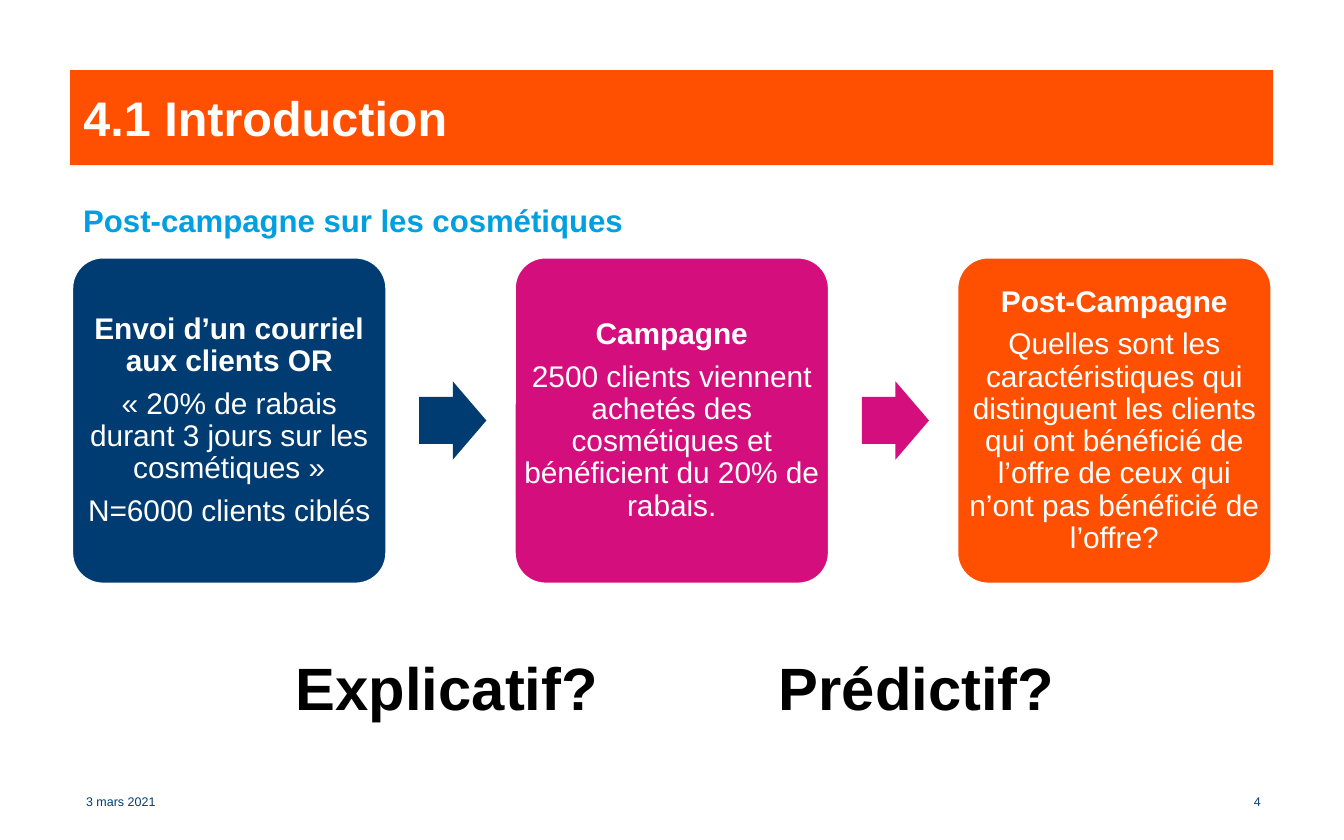
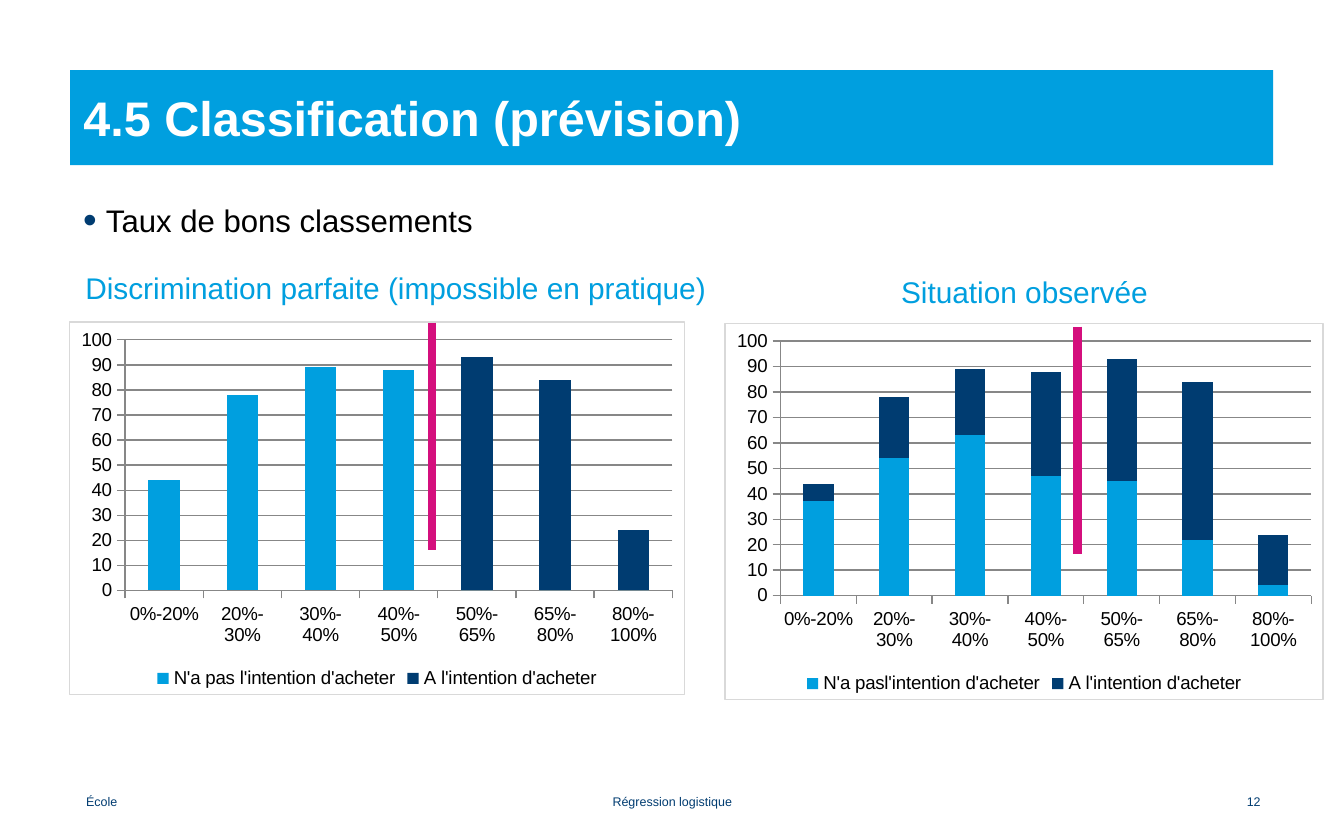
import dataclasses

import lxml.etree
import pptx
import pptx.chart.data
import pptx.dml.color
import pptx.enum.chart
import pptx.enum.shapes
import pptx.enum.text
import pptx.oxml
import pptx.oxml.ns
import pptx.util

Pt = pptx.util.Pt
ALIGN = pptx.enum.text.PP_ALIGN
ANCHOR = pptx.enum.text.MSO_ANCHOR
SHAPE = pptx.enum.shapes.MSO_SHAPE


@dataclasses.dataclass(frozen=True)
class Theme:
    """Colours, font and type sizes shared by the slides."""
    font: str = "Arial"
    white: str = "FFFFFF"
    black: str = "000000"
    navy: str = "003C71"
    sky: str = "009FDF"
    pink: str = "D40F7D"
    orange: str = "FE5000"
    axis: str = "878787"
    border: str = "D9D9D9"
    title: float = 26
    question: float = 32
    body: float = 16.7
    card: float = 16
    chart: float = 10
    footer: float = 6.7


THEME = Theme()
TITLE_BOX = (37.5, 37.5, 644.5, 51)
BODY_BOX = (37.5, 104.4, 644.5, 30)
FOOTER_BOX = (39, 424, 643.5, 11)
INSET = (7.2, 3.6)


def rgb(color):
    """Turn a hex string into a colour."""
    return pptx.dml.color.RGBColor.from_string(color)


def points(box):
    """Turn a box of numbers into lengths."""
    return [Pt(value) for value in box]


def paint(shape, fill, line=None, width=2):
    """Give a shape a flat fill and an optional outline."""
    shape.shadow.inherit = False
    shape.fill.solid()
    shape.fill.fore_color.rgb = rgb(fill)
    if line:
        shape.line.color.rgb = rgb(line)
        shape.line.width = Pt(width)
    else:
        shape.line.fill.background()


def prepare_frame(frame, anchor=ANCHOR.TOP, inset=INSET, wrap=True):
    """Set the wrapping, anchor and margins of a text frame."""
    frame.word_wrap = wrap
    frame.auto_size = pptx.enum.text.MSO_AUTO_SIZE.NONE
    frame.vertical_anchor = anchor
    frame.margin_left = frame.margin_right = Pt(inset[0])
    frame.margin_top = frame.margin_bottom = Pt(inset[1])
    return frame


def write(frame, text, size, color, bold=False, align=ALIGN.LEFT,
          before=0, after=0, spacing=1.0):
    """Add one formatted paragraph to a frame."""
    para = frame.paragraphs[0]
    if para.runs:
        para = frame.add_paragraph()
    para.alignment = align
    para.space_before, para.space_after = Pt(before), Pt(after)
    para.line_spacing = spacing
    span = para.add_run()
    span.text = text
    span.font.name = THEME.font
    span.font.size = Pt(size)
    span.font.bold = bold
    span.font.color.rgb = rgb(color)
    return para


def add_label(page, box, text, size, color, anchor=ANCHOR.TOP, wrap=True, **style):
    """Place a text box holding one paragraph."""
    label = page.shapes.add_textbox(*points(box))
    frame = prepare_frame(label.text_frame, anchor, wrap=wrap)
    return write(frame, text, size, color, **style)


def add_bullet(para, color, hang=12.2):
    """Give a paragraph a hanging coloured bullet."""
    properties = para._p.get_or_add_pPr()
    properties.set("marL", str(Pt(hang)))
    properties.set("indent", str(-Pt(hang)))
    for tag, attributes in (("a:buSzPct", {"val": "125000"}),
                            ("a:buFont", {"typeface": THEME.font}),
                            ("a:buChar", {"char": "•"})):
        lxml.etree.SubElement(properties, pptx.oxml.ns.qn(tag), attributes)
    tint = lxml.etree.Element(pptx.oxml.ns.qn("a:buClr"))
    lxml.etree.SubElement(tint, pptx.oxml.ns.qn("a:srgbClr"), val=color)
    properties.find(pptx.oxml.ns.qn("a:buSzPct")).addprevious(tint)


def add_page(deck, title, band):
    """Add a slide with its title band."""
    page = deck.slides.add_slide(deck.slide_layouts[5])
    holder = page.shapes.title
    holder.left, holder.top, holder.width, holder.height = points(TITLE_BOX)
    holder.fill.solid()
    holder.fill.fore_color.rgb = rgb(band)
    frame = prepare_frame(holder.text_frame, ANCHOR.MIDDLE)
    write(frame, title, THEME.title, THEME.white, bold=True)
    return page


def add_footer(page, box, left, number, middle=None):
    """Place the footer texts along the bottom box."""
    x, y, width, height = box
    parts = ((left, x, 168, ALIGN.LEFT),
             (middle, x + 207.2, 228.2, ALIGN.CENTER),
             (number, x + width - 37, 37, ALIGN.RIGHT))
    for text, start, length, align in parts:
        if text:
            add_label(page, (start, y, length, height), text, THEME.footer,
                      THEME.navy, ANCHOR.MIDDLE, align=align)


def add_process(page, box, steps):
    """Spread step cards over a box with an arrow in each gap."""
    x, y, width, height = box
    card_width, arrow_width, arrow_height = 169.2, 36, 42
    pitch = (width - card_width) / (len(steps) - 1)
    for index, (color, heading, details) in enumerate(steps):
        left = x + index * pitch
        card = page.shapes.add_shape(SHAPE.ROUNDED_RECTANGLE,
                                     *points((left, y, card_width, height)))
        card.adjustments[0] = 0.1
        paint(card, color, THEME.white)
        frame = prepare_frame(card.text_frame, ANCHOR.MIDDLE, (0, 0))
        for text in (heading, *details):
            write(frame, text, THEME.card, THEME.white, bold=text == heading,
                  align=ALIGN.CENTER, after=5.6, spacing=0.9)
        if index < len(steps) - 1:
            arrow = page.shapes.add_shape(SHAPE.RIGHT_ARROW, *points(
                (left + card_width + 17.2, y + (height - arrow_height) / 2,
                 arrow_width, arrow_height)))
            arrow.adjustments[0], arrow.adjustments[1] = 0.6, 0.5
            paint(arrow, color)


def add_threshold(page, x, top, length):
    """Draw the vertical line of the cut-off."""
    line = page.shapes.add_connector(pptx.enum.shapes.MSO_CONNECTOR.STRAIGHT,
                                     *points((x, top, x, top + length)))
    line.line.color.rgb = rgb(THEME.pink)
    line.line.width = Pt(4.5)
    lxml.etree.SubElement(line._element.spPr, pptx.oxml.ns.qn("a:effectLst"))


def format_font(font):
    """Apply the chart type style."""
    font.name = THEME.font
    font.size = Pt(THEME.chart)
    font.color.rgb = rgb(THEME.black)


def format_line(line):
    """Apply the axis line style."""
    line.color.rgb = rgb(THEME.axis)
    line.width = Pt(0.75)


def frame_chart(chart):
    """Draw the thin border around a chart."""
    border = pptx.oxml.parse_xml(
        f'<c:spPr {pptx.oxml.ns.nsdecls("c", "a")}><a:noFill/>'
        f'<a:ln w="{Pt(0.75)}"><a:solidFill><a:srgbClr val="{THEME.border}"/>'
        '</a:solidFill></a:ln></c:spPr>')
    chart.element.find(pptx.oxml.ns.qn("c:chart")).addnext(border)


def add_intention_chart(page, box, categories, series):
    """Place a stacked column chart of purchase intention."""
    data = pptx.chart.data.CategoryChartData()
    data.categories = categories
    for name, values in series:
        data.add_series(name, values)
    chart = page.shapes.add_chart(pptx.enum.chart.XL_CHART_TYPE.COLUMN_STACKED,
                                  *points(box), data).chart
    chart.has_title = False
    format_font(chart.font)
    frame_chart(chart)
    chart.has_legend = True
    chart.legend.position = pptx.enum.chart.XL_LEGEND_POSITION.BOTTOM
    chart.legend.include_in_layout = False
    format_font(chart.legend.font)
    plot = chart.plots[0]
    plot.gap_width, plot.overlap, plot.vary_by_categories = 150, 100, False
    for item, color in zip(plot.series, (THEME.sky, THEME.navy)):
        item.format.fill.solid()
        item.format.fill.fore_color.rgb = rgb(color)
    for axis, number_format in ((chart.category_axis, "0%"), (chart.value_axis, "General")):
        axis.major_tick_mark = pptx.enum.chart.XL_TICK_MARK.OUTSIDE
        axis.minor_tick_mark = pptx.enum.chart.XL_TICK_MARK.NONE
        axis.tick_labels.number_format = number_format
        axis.tick_labels.number_format_is_linked = False
        format_font(axis.tick_labels.font)
        format_line(axis.format.line)
    chart.value_axis.minimum_scale, chart.value_axis.maximum_scale = 0, 100
    chart.value_axis.major_unit = 10
    chart.value_axis.has_major_gridlines = True
    format_line(chart.value_axis.major_gridlines.format.line)


def add_chart_panel(page, box, heading, heading_box, line_gap, categories, series):
    """Place a chart with its heading and cut-off line."""
    x, y, width, _ = box
    add_intention_chart(page, box, categories, series)
    left, rise, length = heading_box
    add_label(page, (x + left, y - rise, length, 26), heading, THEME.card,
              THEME.sky, wrap=False)
    add_threshold(page, x + 0.589 * width, y + line_gap, 121.7)


def build_introduction(deck):
    """Build the slide on the campaign steps."""
    page = add_page(deck, "4.1 Introduction", THEME.orange)
    add_label(page, BODY_BOX, "Post-campagne sur les cosmétiques", THEME.body,
              THEME.sky, bold=True, before=3.3)
    add_process(page, (38.2, 137.5, 643.4, 175.6), (
        (THEME.navy, "Envoi d’un courriel aux clients OR",
         ("« 20% de rabais durant 3 jours sur les cosmétiques »",
          "N=6000 clients ciblés")),
        (THEME.pink, "Campagne",
         ("2500 clients viennent achetés des cosmétiques et "
          "bénéficient du 20% de rabais.",)),
        (THEME.orange, "Post-Campagne",
         ("Quelles sont les caractéristiques qui distinguent les clients qui ont "
          "bénéficié de l’offre de ceux qui n’ont pas bénéficié de l’offre?",))))
    for x, question in ((151.5, "Explicatif?"), (410.2, "Prédictif?")):
        add_label(page, (x, 345, 180, 45), question, THEME.question,
                  THEME.black, bold=True)
    add_footer(page, FOOTER_BOX, "3 mars 2021", "4")


def build_classification(deck):
    """Build the slide comparing the two classifications."""
    page = add_page(deck, "4.5 Classification (prévision)", THEME.sky)
    add_bullet(add_label(page, BODY_BOX, "Taux de bons classements", THEME.body,
                         THEME.black, before=3.3), THEME.navy)
    categories = ("0%-20%", "20%-30%", "30%-40%", "40%-50%",
                  "50%-65%", "65%-80%", "80%-100%")
    add_chart_panel(
        page, (36.7, 172.1, 330.5, 200.2),
        "Discrimination parfaite (impossible en pratique)", (2, 31, 347.8), 0.7,
        categories,
        (("N'a pas l'intention d'acheter", (44, 78, 89, 88, 0, 0, 0)),
         ("A l'intention d'acheter", (0, 0, 0, 0, 93, 84, 24))))
    add_chart_panel(
        page, (388.1, 172.8, 321.1, 202.3),
        "Situation observée", (87.6, 29.5, 147), 2.2,
        categories,
        (("N'a pasl'intention d'acheter", (37, 54, 63, 47, 45, 22, 4)),
         ("A l'intention d'acheter", (7, 24, 26, 41, 48, 62, 20))))
    add_footer(page, FOOTER_BOX, "École", "12", "Régression logistique")


def main():
    """Build and save the deck."""
    deck = pptx.Presentation()
    deck.slide_width, deck.slide_height = Pt(720), Pt(450)
    build_introduction(deck)
    build_classification(deck)
    deck.save("out.pptx")


if __name__ == "__main__":
    main()
